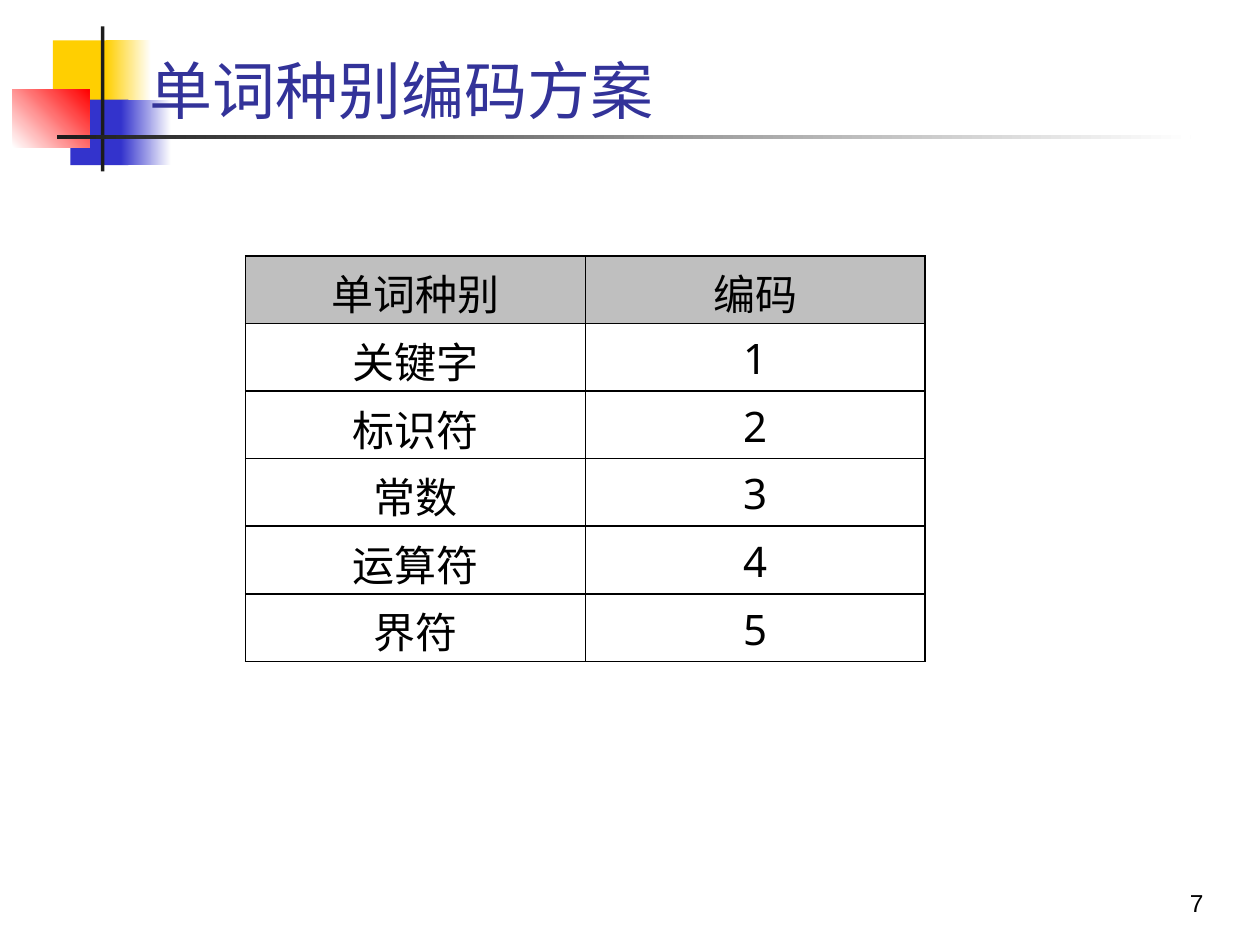
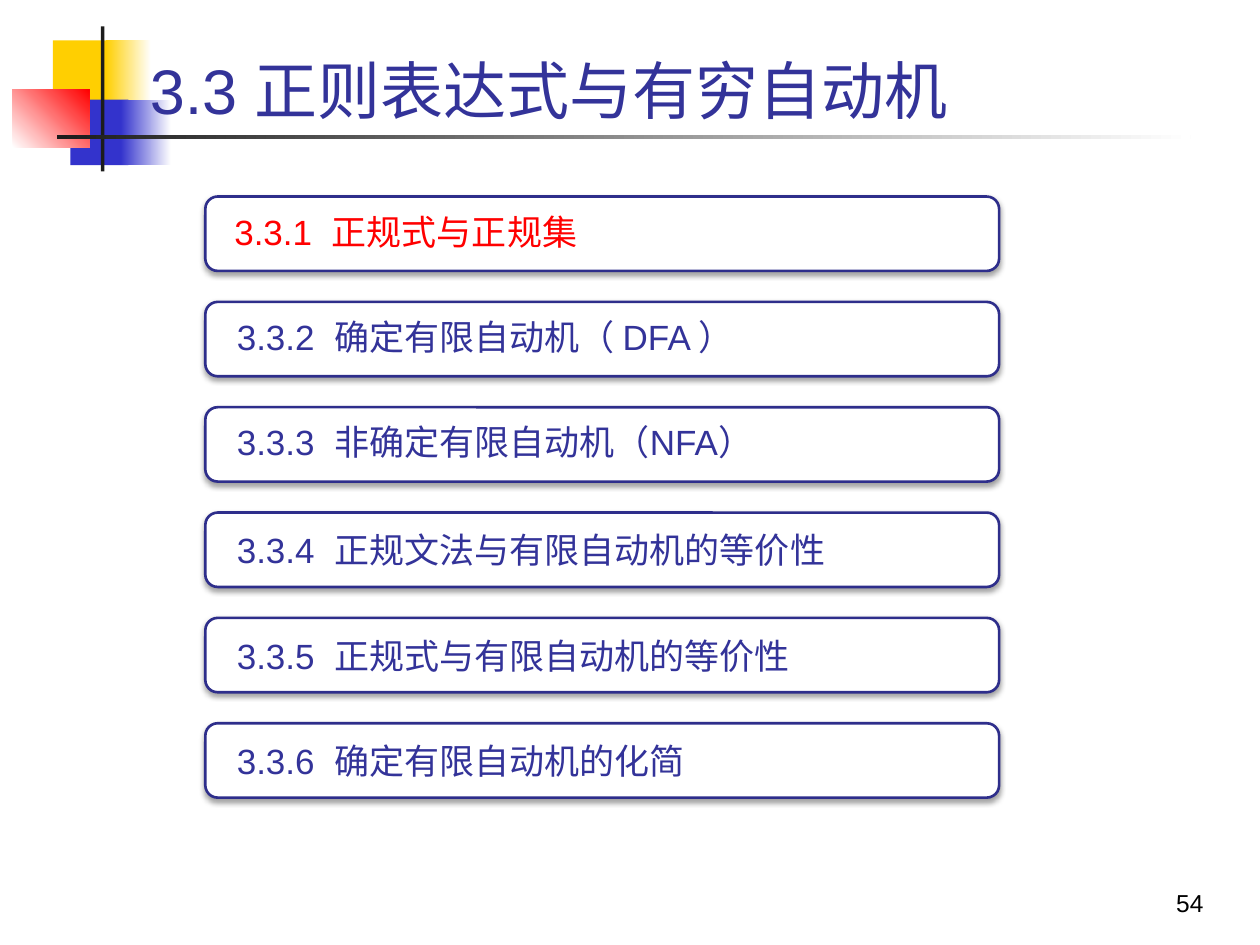
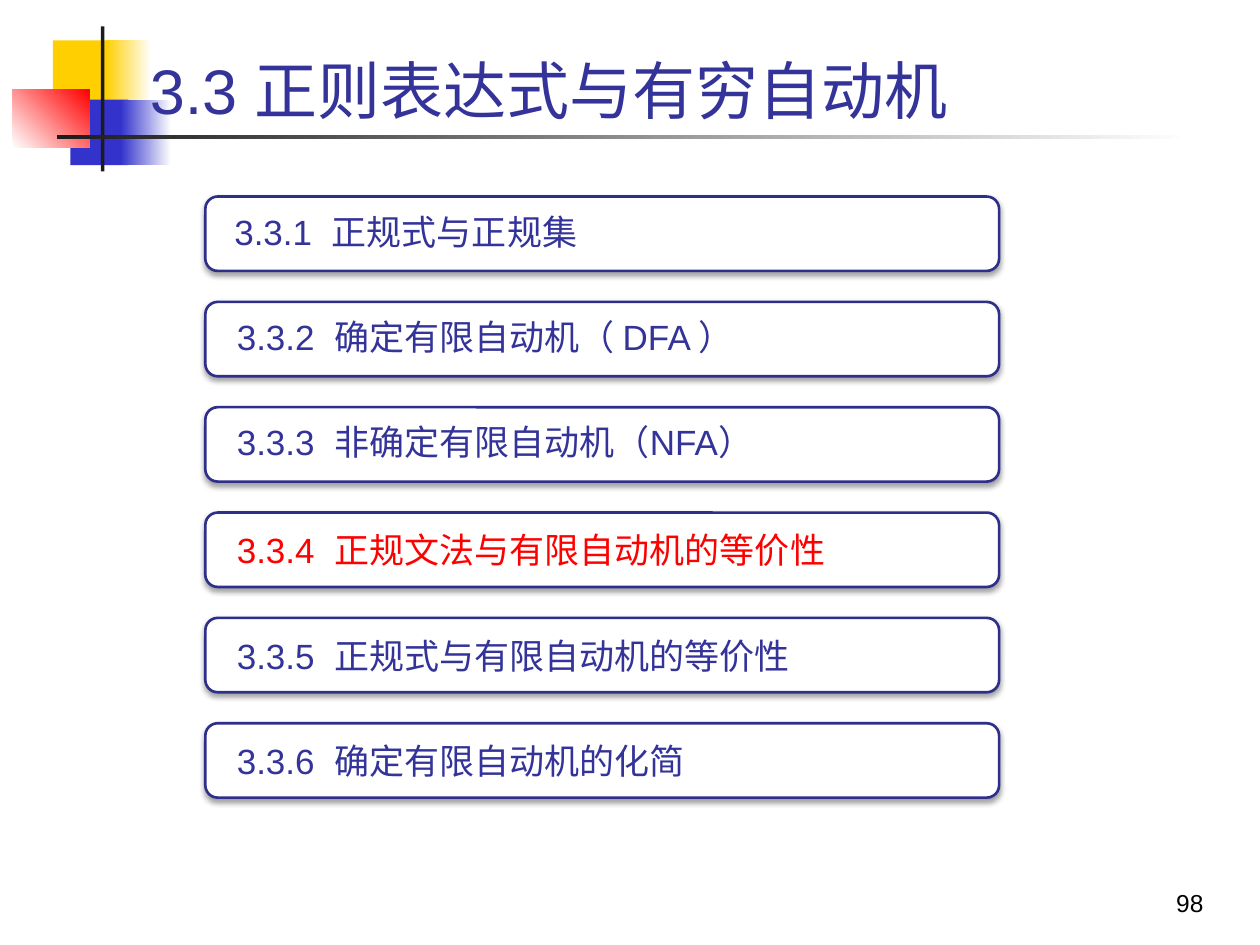
from lxml.etree import SubElement
from pptx import Presentation
from pptx.dml.color import RGBColor
from pptx.enum.shapes import MSO_SHAPE
from pptx.enum.text import MSO_ANCHOR, PP_ALIGN
from pptx.oxml.ns import qn
from pptx.util import Inches, Pt

COLUMNS, ROWS = 100, 75
INK, NAVY, RED, BLACK, WHITE = "1C1C1C", "333399", "FF0000", "000000", "FFFFFF"
YELLOW, BLUE, GREY, OUTLINE = "FFCF01", "3333CC", "BFBFBF", "2E2E8B"
CHINESE_FONT = "Noto Sans CJK SC"
EMBLEM = [
    ((4.2, 3.2, 4.8, 5.2), [YELLOW], 0),
    ((8.4, 3.2, 3.6, 5.2), [YELLOW, WHITE], 0),
    ((5.6, 7.9, 4.6, 5.2), [BLUE], 0),
    ((9.6, 7.9, 4, 5.2), [BLUE, WHITE], 0),
    ((1, 7.1, 6.1, 4.6), [WHITE, RED], 45),
    ((8, 2.1, 0.3, 11.5), [INK], 0),
    ((4.5, 10.7, 90, 0.3), [INK, WHITE], 0),
]
WORD_CODES = [("单词种别", "编码"), ("关键字", "1"), ("标识符", "2"),
              ("常数", "3"), ("运算符", "4"), ("界符", "5")]
SECTION_TITLE = "3.3 正则表达式与有穷自动机"
TOPICS = ["正规式与正规集", "确定有限自动机（ DFA ）", "非确定有限自动机（NFA）",
          "正规文法与有限自动机的等价性", "正规式与有限自动机的等价性", "确定有限自动机的化简"]


def color(value):
    """Turn a hex string into a colour."""
    return RGBColor.from_string(value)


def apply(target, values):
    """Set every attribute named in a dict of format values."""
    for name, value in values.items():
        setattr(target, name, value)


class Deck:
    """Holds the presentation, its style and the current slide."""

    def __init__(self):
        """Start an empty presentation on a grid of columns and rows."""
        self.presentation = Presentation()
        apply(self.presentation, {"slide_width": Inches(10), "slide_height": Inches(7.5)})
        self.slide = None

    def place(self, column, row, width, height):
        """Turn grid columns and rows into lengths."""
        across = self.presentation.slide_width / COLUMNS
        down = self.presentation.slide_height / ROWS
        return [round(column * across), round(row * down),
                round(width * across), round(height * down)]

    def add_slide(self, title, number, title_font="Arial"):
        """Add a slide with the emblem, title and page number."""
        self.slide = self.presentation.slides.add_slide(self.presentation.slide_layouts[6])
        for area, colors, angle in EMBLEM:
            self.box(self.slide.shapes, area, colors, angle)
        self.label(self.slide.shapes, (10.9, 2.2, 85.2, 8.4), title, 36, NAVY, title_font,
                   {"vertical_anchor": MSO_ANCHOR.BOTTOM})
        self.label(self.slide.shapes, (75.7, 68.3, 20.8, 5), str(number), 14, BLACK, "Arial",
                   {"vertical_anchor": MSO_ANCHOR.BOTTOM}, {"alignment": PP_ALIGN.RIGHT})

    def box(self, shapes, area, colors, angle=0, kind=MSO_SHAPE.RECTANGLE):
        """Draw an unlined shape with a solid or gradient fill."""
        shape = shapes.add_shape(kind, *self.place(*area))
        shape.shadow.inherit = False
        shape.line.fill.background()
        if len(colors) == 1:
            shape.fill.solid()
            shape.fill.fore_color.rgb = color(colors[0])
        else:
            shape.fill.gradient()
            shape.fill.gradient_angle = angle
            for stop, value in zip(shape.fill.gradient_stops, colors):
                stop.color.rgb = color(value)
        return shape

    def fill_paragraph(self, paragraph, content, size, tint, font, layout):
        """Fill a paragraph with one styled run."""
        apply(paragraph, layout)
        run = paragraph.add_run()
        run.text = content
        apply(run.font, {"size": Pt(size), "name": font})
        run.font.color.rgb = color(tint)
        SubElement(run.font._element, qn("a:ea"), typeface=CHINESE_FONT)

    def label(self, shapes, area, content, size, tint, font, frame_format, layout=None):
        """Add a wrapped text box with one paragraph."""
        frame = shapes.add_textbox(*self.place(*area)).text_frame
        apply(frame, {"word_wrap": True, **frame_format})
        self.fill_paragraph(frame.paragraphs[0], content, size, tint, font, layout or {})

    def soft_shadow(self, shape):
        """Give a shape a soft shadow below it."""
        effects = shape._element.spPr.find(qn("a:effectLst"))
        shadow = SubElement(effects, qn("a:outerShdw"), blurRad=str(Pt(3.1)),
                            dist=str(Pt(1.6)), dir="5400000", rotWithShape="0")
        tint = SubElement(shadow, qn("a:srgbClr"), val=BLACK)
        SubElement(tint, qn("a:alpha"), val="38000")

    def card(self, row, content, tint, inset, layout):
        """Add a rounded card grouped with its label."""
        left, width, height, edge = 16.3, 63, 5.9, 0.3
        shapes = self.slide.shapes.add_group_shape().shapes
        shape = self.box(shapes, (left, row, width, height), [WHITE],
                         kind=MSO_SHAPE.ROUNDED_RECTANGLE)
        shape.line.color.rgb = color(OUTLINE)
        shape.line.width = Pt(1.5)
        self.soft_shadow(shape)
        area = (left + inset, row + edge, width - 2 * inset, height - 2 * edge)
        self.label(shapes, area, content, 20, tint, "Arial",
                   {"vertical_anchor": MSO_ANCHOR.MIDDLE, "margin_left": Inches(0.2),
                    "margin_right": Inches(0.2), "margin_top": 0, "margin_bottom": 0}, layout)

    def agenda(self, current):
        """Stack the topic cards and highlight the current one."""
        for index, topic in enumerate(TOPICS):
            tight = {"line_spacing": 0.9, "space_after": Pt(7)} if index < 3 else {}
            self.card(15.6 + 8.36 * index, f"3.3.{index + 1}  {topic}",
                      RED if index + 1 == current else NAVY,
                      0.5 if index else 0.3, tight)

    def borders(self, cell):
        """Draw thin black lines on all sides of a cell."""
        properties = cell._tc.get_or_add_tcPr()
        for position, side in enumerate(("lnL", "lnR", "lnT", "lnB")):
            line = properties.makeelement(qn(f"a:{side}"), {"w": str(Pt(1))})
            properties.insert(position, line)
            fill = SubElement(line, qn("a:solidFill"))
            SubElement(fill, qn("a:srgbClr"), val=BLACK)

    def table(self, area, records):
        """Add a bordered table with a grey heading row."""
        table = self.slide.shapes.add_table(len(records), len(records[0]),
                                            *self.place(*area)).table
        apply(table, {"first_row": False, "horz_banding": False})
        for row, record in enumerate(records):
            for column, content in enumerate(record):
                cell = table.cell(row, column)
                if row == 0:
                    cell.fill.solid()
                    cell.fill.fore_color.rgb = color(GREY)
                else:
                    cell.fill.background()
                self.borders(cell)
                self.fill_paragraph(cell.text_frame.paragraphs[0], content, 24, BLACK,
                                    "Noto Sans", {"alignment": PP_ALIGN.CENTER})


deck = Deck()
deck.add_slide("单词种别编码方案", 7, CHINESE_FONT)
deck.table((19.5, 20.3, 53.9, 32.2), WORD_CODES)
for number, current in ((54, 1), (98, 4)):
    deck.add_slide(SECTION_TITLE, number)
    deck.agenda(current)
deck.presentation.save("out.pptx")
